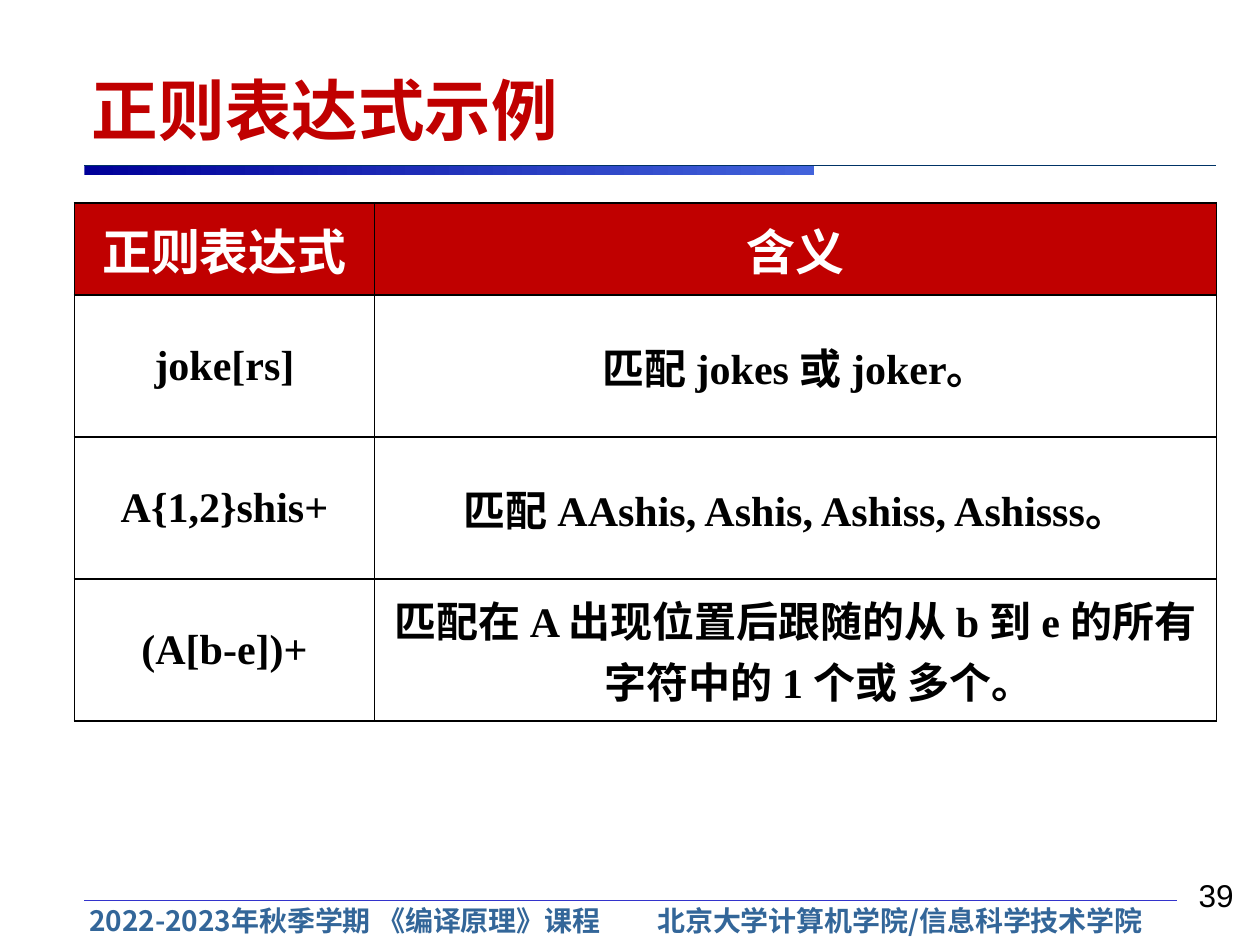
from lxml import etree
from pptx import Presentation
from pptx.dml.color import RGBColor
from pptx.enum import shapes, text
from pptx.oxml.ns import qn
from pptx.util import Cm, Pt

TITLE = "正则表达式示例"
ROWS = [
    ("正则表达式", "含义"),
    ("joke[rs]", "匹配 jokes 或 joker。"),
    ("A{1,2}shis+", "匹配 AAshis, Ashis, Ashiss, Ashisss。"),
    ("(A[b-e])+", "匹配在 A 出现位置后跟随的从 b 到 e 的所有字符中的 1 个或 多个。"),
]
FOOTER = "2022-2023年秋季学期 《编译原理》课程\t北京大学计算机学院/信息科学技术学院"
NUMBER = "39"

COLORS = {
    "red": "C00000", "white": "FFFFFF", "black": "000000", "footer": "336699",
    "rule": "003366", "thin": "3333CC", "bar_start": "000099", "bar_end": "4263DB",
}
CJK, SANS, SERIF = "Noto Sans CJK SC", "Arial", "Times New Roman"
COL_WIDTHS = (6.05, 16.97)
ROW_HEIGHTS = (1.86, 2.86, 2.86, 2.86)
LEFT, RIGHT, RULE_TOP = 1.7, 24.51, 3.33


def rgb(name):
    return RGBColor.from_string(COLORS[name])


def add_run(p, content, size, font, color, bold=True):
    r = p.add_run()
    r.text = content
    r.font.size, r.font.name, r.font.bold = Pt(size), font, bold
    r.font.color.rgb = rgb(color)
    ea = etree.SubElement(r._r.get_or_add_rPr(), qn("a:ea"))
    ea.set("typeface", CJK)


def add_rule(s, x1, x2, y, color, width):
    line = s.shapes.add_connector(
        shapes.MSO_CONNECTOR.STRAIGHT, Cm(x1), Cm(y), Cm(x2), Cm(y))
    line.line.color.rgb = rgb(color)
    line.line.width = Pt(width)
    etree.SubElement(line._element.spPr, qn("a:effectLst"))


def add_text_box(s, x, y, w, h, anchor):
    tf = s.shapes.add_textbox(Cm(x), Cm(y), Cm(w), Cm(h)).text_frame
    tf.word_wrap = True
    tf.vertical_anchor = anchor
    return tf


def add_border(cell):
    tc_pr = cell._tc.get_or_add_tcPr()
    for i, side in enumerate(("lnL", "lnR", "lnT", "lnB")):
        ln = etree.Element(qn(f"a:{side}"), w=str(Pt(1)))
        fill = etree.SubElement(ln, qn("a:solidFill"))
        etree.SubElement(fill, qn("a:srgbClr"), val=COLORS["black"])
        tc_pr.insert(i, ln)


def add_header(s):
    bar = s.shapes.add_shape(
        shapes.MSO_SHAPE.RECTANGLE, Cm(LEFT), Cm(RULE_TOP), Cm(14.71), Cm(0.2))
    bar.shadow.inherit = False
    bar.line.fill.background()
    bar.fill.gradient()
    bar.fill.gradient_angle = 0
    for stop, color in zip(bar.fill.gradient_stops, ("bar_start", "bar_end")):
        stop.color.rgb = rgb(color)
    add_rule(s, LEFT, RIGHT, RULE_TOP, "rule", 0.75)

    title = s.shapes.title
    title.left, title.top, title.width, title.height = Cm(1.6), Cm(0.84), Cm(20.9), Cm(2.29)
    tf = title.text_frame
    tf.auto_size = text.MSO_AUTO_SIZE.NONE
    tf.vertical_anchor = text.MSO_ANCHOR.BOTTOM
    p = tf.paragraphs[0]
    p.alignment = text.PP_ALIGN.LEFT
    add_run(p, TITLE, 38, SANS, "red")


def add_pattern_table(s):
    table = s.shapes.add_table(
        len(ROWS), len(COL_WIDTHS), Cm(1.5), Cm(4.09),
        Cm(sum(COL_WIDTHS)), Cm(sum(ROW_HEIGHTS))).table
    table.first_row = table.horz_banding = False
    for col, width in zip(table.columns, COL_WIDTHS):
        col.width = Cm(width)
    for i, (row, height) in enumerate(zip(ROWS, ROW_HEIGHTS)):
        table.rows[i].height = Cm(height)
        fill, style = ("white", (24, SERIF, "black")) if i else ("red", (28, CJK, "white"))
        for j, content in enumerate(row):
            cell = table.cell(i, j)
            cell.fill.solid()
            cell.fill.fore_color.rgb = rgb(fill)
            cell.margin_left = cell.margin_right = cell.margin_top = cell.margin_bottom = 0
            cell.vertical_anchor = text.MSO_ANCHOR.MIDDLE
            add_border(cell)
            p = cell.text_frame.paragraphs[0]
            p.alignment = text.PP_ALIGN.CENTER
            p_pr = p._p.get_or_add_pPr()
            p_pr.set("marL", str(Cm(0.95)))
            p_pr.set("indent", str(Cm(-0.95)))
            add_run(p, content, *style)


def add_footer(s):
    add_rule(s, LEFT, 23.72, 18.14, "thin", 0.25)
    tf = add_text_box(s, 1.8, 18.06, 22.2, 0.99, text.MSO_ANCHOR.MIDDLE)
    tf.margin_left = tf.margin_right = 0
    p = tf.paragraphs[0]
    tabs = etree.SubElement(p._p.get_or_add_pPr(), qn("a:tabLst"))
    etree.SubElement(tabs, qn("a:tab"), pos=str(Cm(11.45)), algn="l")
    add_run(p, FOOTER, 16, CJK, "footer")

    tf = add_text_box(s, 21.31, 17.53, 3.81, 1.02, text.MSO_ANCHOR.BOTTOM)
    p = tf.paragraphs[0]
    p.alignment = text.PP_ALIGN.RIGHT
    add_run(p, NUMBER, 18, SANS, "black", bold=False)


def main():
    prs = Presentation()
    prs.slide_width, prs.slide_height = Cm(25.4), Cm(19.05)
    s = prs.slides.add_slide(prs.slide_layouts[5])
    add_header(s)
    add_pattern_table(s)
    add_footer(s)
    prs.save("out.pptx")


if __name__ == "__main__":
    main()
